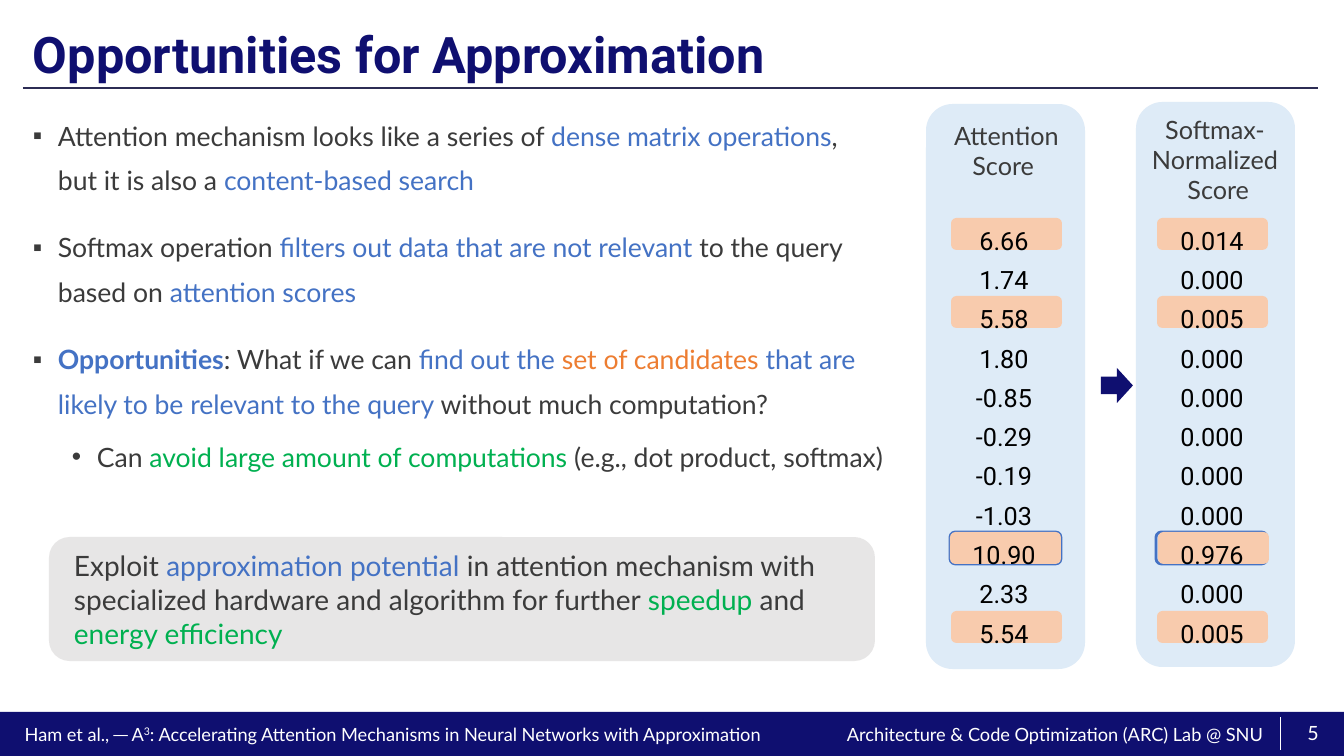
"""Build the slide on approximation opportunities in attention mechanisms."""
from dataclasses import dataclass
from typing import NamedTuple

from lxml.etree import SubElement
from pptx import Presentation
from pptx.dml.color import RGBColor
from pptx.enum.shapes import MSO_CONNECTOR, MSO_SHAPE
from pptx.enum.text import MSO_ANCHOR, PP_ALIGN
from pptx.oxml.ns import qn
from pptx.util import Emu, Pt

PX = 914400 / 100.8
COLORS = {
    "navy": "0F0F70", "rule": "2C2C54", "white": "FFFFFF", "black": "000000",
    "text": "3B3B3B", "blue": "4472C4", "orange": "ED7D31", "green": "00B050",
    "panel": "DEEBF7", "highlight": "F8CBAD", "halo": "B4C7E7", "gray": "E7E6E6",
}


class Box(NamedTuple):
    x: int
    y: int
    w: int
    h: int


class Run(NamedTuple):
    text: str
    color: str = "text"
    bold: bool = False
    superscript: bool = False


@dataclass
class Para:
    runs: list[Run]
    align: PP_ALIGN = PP_ALIGN.LEFT
    spacing: float = 1.0
    before: int = 0
    bullet: str = ""
    margin: int = 0


@dataclass
class ScoreColumn:
    panel: Box
    header_box: Box
    header: list[str]
    values_box: Box
    values: str
    mark_x: int
    halo_x: int
    peak_x: int


MARKED_ROWS = (0, 2, 10)
PEAK_ROW = 8
COLUMNS = [
    ScoreColumn(Box(1136, 102, 159, 565), Box(1102, 109, 226, 102),
                ["Softmax-Normalized\n Score"], Box(1136, 211, 152, 443),
                "0.014 0.000 0.005 0.000 0.000 0.000 0.000 0.000 0.976 0.000 0.005",
                1157, 1156, 1158),
    ScoreColumn(Box(926, 104, 159, 565), Box(929, 115, 155, 72),
                ["Attention", "Score "], Box(927, 211, 154, 443),
                "6.66 1.74 5.58 1.80 -0.85 -0.29 -0.19 -1.03 10.90 2.33 5.54",
                951, 950, 950),
]
BULLETS = [
    Para([Run("Attention mechanism looks like a series of "),
          Run("dense matrix operations", "blue"),
          Run(",\nbut it is also a "), Run("content-based search", "blue")],
         spacing=1.4, bullet="▪", margin=25),
    Para([Run("Softmax operation "),
          Run("filters out data that are not relevant ", "blue"),
          Run("to the query based on "), Run("attention scores", "blue")],
         spacing=1.4, before=16, bullet="▪", margin=25),
    Para([Run("Opportunities", "blue", True), Run(": What if we can "),
          Run("find out the ", "blue"), Run("set of candidates ", "orange"),
          Run("that are likely to be relevant to the query ", "blue"),
          Run("without much computation?")],
         spacing=1.4, before=16, bullet="▪", margin=25),
    Para([Run("Can "), Run("avoid large amount of computations ", "green"),
          Run("(e.g., dot product, softmax)")],
         spacing=1.4, before=6, bullet="•", margin=64),
]
TAKEAWAY = Para([
    Run("Exploit "), Run("approximation potential", "blue"),
    Run(" in attention mechanism with specialized hardware and algorithm for further "),
    Run("speedup", "green"), Run(" and "), Run("energy efficiency", "green"),
])
CITATION = Para([
    Run("Ham et al., ─ A", "white"), Run("3", "white", superscript=True),
    Run(": Accelerating Attention Mechanisms in Neural Networks with Approximation", "white"),
], PP_ALIGN.CENTER)


def px(n: int) -> Emu:
    return Emu(round(n * PX))


def rgb(name: str) -> RGBColor:
    return RGBColor.from_string(COLORS[name])


def add_block(s, kind: MSO_SHAPE, box: Box, fill: str, line: str = "", alpha: int = 100):
    sp = s.shapes.add_shape(kind, *map(px, box))
    sp.shadow.inherit = False
    sp.fill.solid()
    sp.fill.fore_color.rgb = rgb(fill)
    if alpha < 100:
        clr = sp.fill._xPr.find(".//" + qn("a:srgbClr"))
        SubElement(clr, qn("a:alpha"), val=str(alpha * 1000))
    if line:
        sp.line.color.rgb = rgb(line)
        sp.line.width = Pt(2)
    else:
        sp.line.fill.background()
    return sp


def add_line(s, x1: int, y1: int, x2: int, y2: int, color: str, width: float) -> None:
    cx = s.shapes.add_connector(MSO_CONNECTOR.STRAIGHT, *map(px, (x1, y1, x2, y2)))
    cx.line.color.rgb = rgb(color)
    cx.line.width = Pt(width)
    SubElement(cx._element.spPr, qn("a:effectLst"))


def add_bullet(p, mark: str, margin: int) -> None:
    pPr = p._p.get_or_add_pPr()
    pPr.set("marL", str(px(margin)))
    pPr.set("indent", str(px(-25)))
    SubElement(SubElement(pPr, qn("a:buClr")), qn("a:srgbClr"), val=COLORS["text"])
    SubElement(pPr, qn("a:buFont"), typeface="Arial")
    SubElement(pPr, qn("a:buChar"), char=mark)


def add_run(p, run: Run, size: int, font: str) -> None:
    for i, part in enumerate(run.text.split("\n")):
        if i:
            p.add_line_break()
        r = p.add_run()
        r.text = part
        r.font.size = Pt(size)
        r.font.name = font
        r.font.bold = run.bold
        r.font.color.rgb = rgb(run.color)
        if run.superscript:
            r._r.get_or_add_rPr().set("baseline", "30000")


def add_text(s, box: Box, paras: list[Para], size: int, font: str = "Lato",
             inset: bool = True, anchor: MSO_ANCHOR = MSO_ANCHOR.TOP) -> None:
    tf = s.shapes.add_textbox(*map(px, box)).text_frame
    tf.word_wrap = True
    tf.vertical_anchor = anchor
    if not inset:
        tf.margin_left = tf.margin_right = tf.margin_top = tf.margin_bottom = 0
    for i, para in enumerate(paras):
        p = tf.add_paragraph() if i else tf.paragraphs[0]
        p.alignment = para.align
        p.line_spacing = para.spacing
        if para.before:
            p.space_before = Pt(para.before)
        if para.bullet:
            add_bullet(p, para.bullet, para.margin)
        for run in para.runs:
            add_run(p, run, size, font)


def add_column(s, col: ScoreColumn) -> None:
    def mark(x: int, row: int, fill: str = "highlight", line: str = "", alpha: int = 100) -> None:
        box = Box(x, 218 + 393 * row // 10, 111, 32)
        add_block(s, MSO_SHAPE.ROUNDED_RECTANGLE, box, fill, line, alpha)

    add_block(s, MSO_SHAPE.ROUNDED_RECTANGLE, col.panel, "panel")
    header = [Para([Run(t)], PP_ALIGN.CENTER) for t in col.header]
    add_text(s, col.header_box, header, 18)
    for row in MARKED_ROWS:
        mark(col.mark_x, row)
    mark(col.halo_x, PEAK_ROW, "halo", "blue", 30)
    mark(col.peak_x, PEAK_ROW)
    values = [Para([Run(v, "black")], PP_ALIGN.CENTER, 1.3) for v in col.values.split()]
    add_text(s, col.values_box, values, 18, "Roboto")


def main() -> None:
    prs = Presentation()
    prs.slide_width, prs.slide_height = px(1344), px(756)
    s = prs.slides.add_slide(prs.slide_layouts[6])

    add_block(s, MSO_SHAPE.RECTANGLE, Box(0, 712, 1344, 44), "navy")
    lab = Para([Run("Architecture & Code Optimization (ARC) Lab @ SNU", "white")])
    add_text(s, Box(847, 723, 435, 22), [lab], 13, inset=False)
    add_text(s, Box(7, 723, 771, 22), [CITATION], 13, inset=False)
    add_line(s, 23, 88, 1318, 88, "rule", 2)
    add_line(s, 1280, 717, 1280, 750, "white", 0.5)
    number = Para([Run("5", "white")], PP_ALIGN.CENTER)
    add_text(s, Box(1289, 713, 48, 40), [number], 14, inset=False, anchor=MSO_ANCHOR.MIDDLE)

    title = Para([Run("Opportunities for Approximation", "navy", True)], spacing=0.9)
    add_text(s, Box(23, 18, 1296, 78), [title], 36, "Roboto", anchor=MSO_ANCHOR.MIDDLE)
    add_text(s, Box(23, 102, 887, 568), BULLETS, 19)
    add_block(s, MSO_SHAPE.ROUNDED_RECTANGLE, Box(49, 537, 826, 124), "gray")
    add_text(s, Box(64, 544, 805, 112), [TAKEAWAY], 20)

    for col in COLUMNS:
        add_column(s, col)
    add_block(s, MSO_SHAPE.RIGHT_ARROW, Box(1101, 368, 32, 35), "navy")
    prs.save("out.pptx")


if __name__ == "__main__":
    main()
